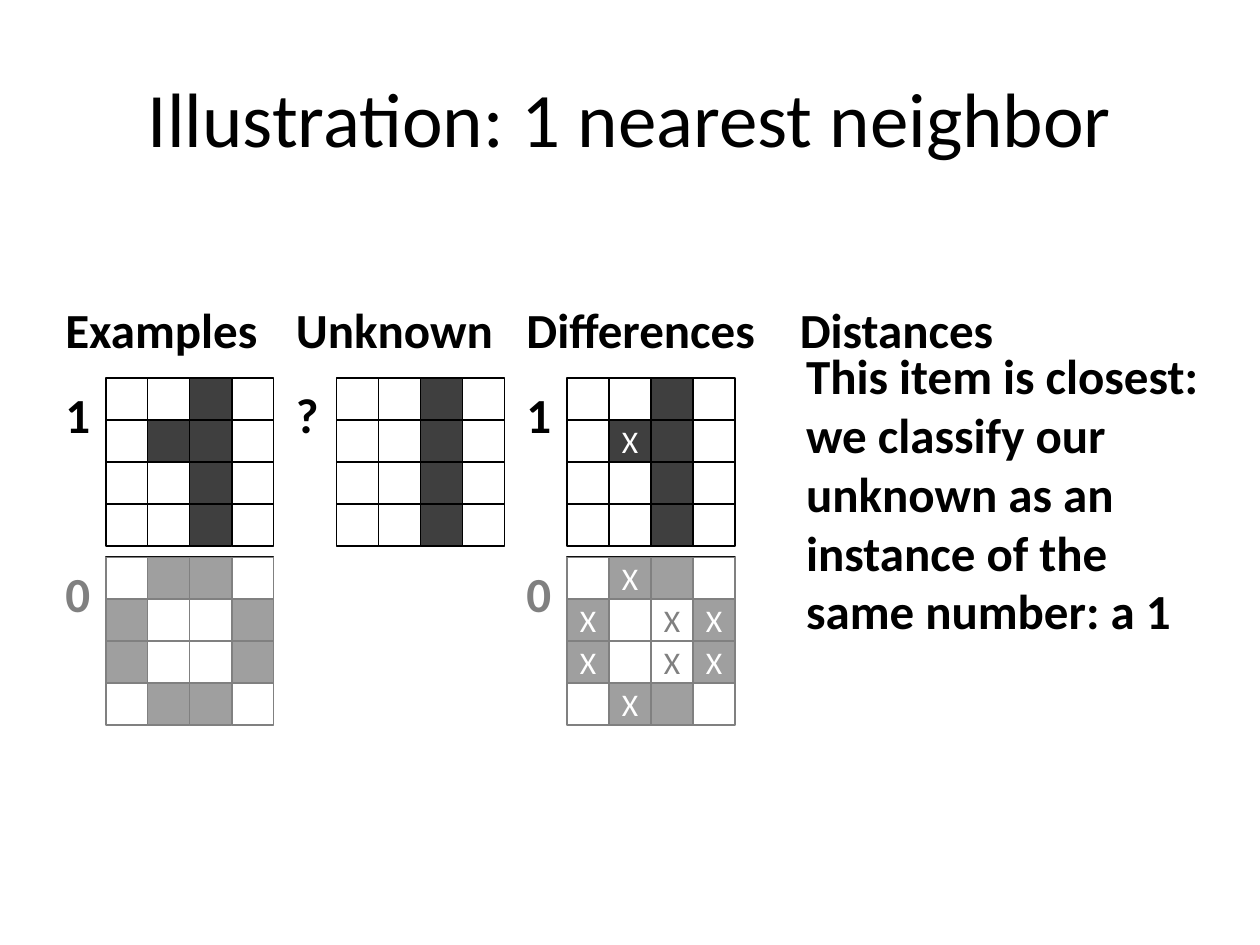
"""Builds the slide that illustrates one-nearest-neighbor digit classification."""
import pptx
import pptx.util
import pptx.dml.color
import pptx.enum.shapes
import pptx.enum.text
import pptx.oxml.ns
from lxml import etree

Inches = pptx.util.Inches
Pt = pptx.util.Pt
ALIGN = pptx.enum.text.PP_ALIGN
ANCHOR = pptx.enum.text.MSO_ANCHOR
RECT = pptx.enum.shapes.MSO_SHAPE.RECTANGLE

COLORS = {"ink": "000000", "paper": "FFFFFF", "dark": "3F3F3F"}
FONT = "Calibri"
CELL = 1 / 3
GRID_OFFSET = 0.42
COLUMNS = {"examples": 0.42, "unknown": 2.25, "differences": 4.08}
ROWS = {"one": 3, "zero": 4.42}

# "#" is a dark cell, "X" a dark cell that differs, "x" a light cell that differs.
ONE = ["..#.", ".##.", "..#.", "..#."]
UNKNOWN = ["..#.", "..#.", "..#.", "..#."]
ZERO = [".##.", "#..#", "#..#", ".##."]
ONE_DIFF = ["..#.", ".X#.", "..#.", "..#."]
ZERO_DIFF = [".X#.", "X.xX", "X.xX", ".X#."]

DIGITS = [
    ("examples", "one", "1", ONE),
    ("examples", "zero", "0", ZERO),
    ("unknown", "one", "?", UNKNOWN),
    ("differences", "one", "1", ONE_DIFF),
    ("differences", "zero", "0", ZERO_DIFF),
]
HEADINGS = [
    ("Examples", COLUMNS["examples"], 1.75),
    ("Unknown", COLUMNS["unknown"], 1.78),
    ("Differences", COLUMNS["differences"], 2.05),
    ("Distances", 6.25, 1.75),
]
CONCLUSION = [
    "This item is closest:",
    "we classify our unknown as an instance of the same number: a 1",
]


def rgb(name):
    """Return the named colour."""
    return pptx.dml.color.RGBColor.from_string(COLORS[name])


def write(tf, lines, size, color="ink", bold=False, align=ALIGN.LEFT, anchor=ANCHOR.TOP):
    """Fill a text frame with one paragraph per line."""
    tf.word_wrap = True
    tf.vertical_anchor = anchor
    for i, line in enumerate(lines):
        p = tf.add_paragraph() if i else tf.paragraphs[0]
        p.text = line
        p.alignment = align
        p.font.name = FONT
        p.font.size = Pt(size)
        p.font.bold = bold
        p.font.color.rgb = rgb(color)


def add_text(s, left, top, width, height, lines, size=28, bold=True, **style):
    """Add a text box."""
    box = s.shapes.add_textbox(Inches(left), Inches(top), Inches(width), Inches(height))
    write(box.text_frame, lines, size, bold=bold, **style)


def add_rect(s, left, top, width, height, fill):
    """Add a filled rectangle without a shadow."""
    sp = s.shapes.add_shape(RECT, Inches(left), Inches(top), Inches(width), Inches(height))
    sp.shadow.inherit = False
    sp.fill.solid()
    sp.fill.fore_color.rgb = rgb(fill)
    return sp


def add_grid(s, left, top, pattern):
    """Draw a digit as a grid of cells, marking those that differ."""
    for row, marks in enumerate(pattern):
        for col, mark in enumerate(marks):
            is_dark = mark in "#X"
            sp = add_rect(s, left + col * CELL, top + row * CELL, CELL, CELL,
                          "dark" if is_dark else "paper")
            sp.line.color.rgb = rgb("ink")
            sp.line.width = Pt(0.75)
            if mark in "xX":
                write(sp.text_frame, ["X"], 18, "paper" if is_dark else "ink",
                      align=ALIGN.CENTER, anchor=ANCHOR.MIDDLE)


def add_veil(s, left, top, width, height):
    """Fade an area with a half-transparent light rectangle."""
    sp = add_rect(s, left, top, width, height, "paper")
    sp.line.fill.background()
    qn = pptx.oxml.ns.qn
    color = sp.fill._xPr.find(qn("a:solidFill")).find(qn("a:srgbClr"))
    etree.SubElement(color, qn("a:alpha"), val="50000")


def main():
    """Build and save the slide."""
    prs = pptx.Presentation()
    prs.slide_width, prs.slide_height = Inches(10), Inches(7.5)
    s = prs.slides.add_slide(prs.slide_layouts[6])
    add_text(s, 0.5, 0.3, 9, 1.25, ["Illustration: 1 nearest neighbor"], size=44,
             bold=False, align=ALIGN.CENTER, anchor=ANCHOR.MIDDLE)
    for heading, left, width in HEADINGS:
        add_text(s, left, 2.33, width, 0.57, [heading])
    for column, row, label, pattern in DIGITS:
        left, top = COLUMNS[column], ROWS[row]
        add_text(s, left, top, 0.4, 0.57, [label])
        add_grid(s, left + GRID_OFFSET, top, pattern)
    add_text(s, 6.3, 2.83, 3.44, 2.16, CONCLUSION, anchor=ANCHOR.MIDDLE)
    add_veil(s, COLUMNS["examples"], ROWS["zero"], 5.67, 1.42)
    prs.save("out.pptx")


if __name__ == "__main__":
    main()
